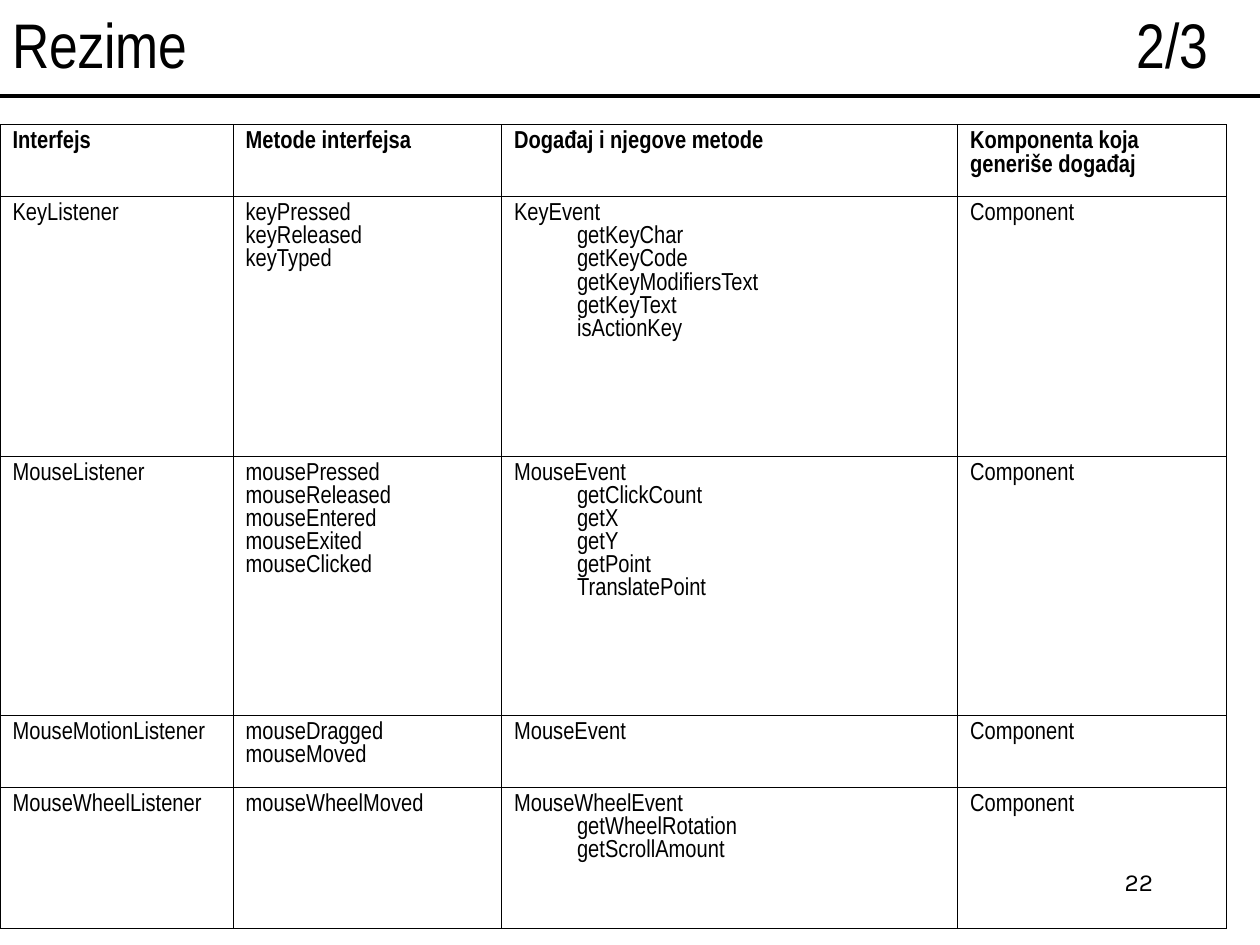
from lxml import etree
from pptx import Presentation
from pptx.dml.color import RGBColor
from pptx.enum.shapes import MSO_CONNECTOR
from pptx.enum.text import MSO_ANCHOR, PP_ALIGN
from pptx.oxml.ns import qn
from pptx.util import Inches, Pt

STRAIGHT = MSO_CONNECTOR.STRAIGHT
MIDDLE = MSO_ANCHOR.MIDDLE
RIGHT = PP_ALIGN.RIGHT
BLACK = RGBColor(0x00, 0x00, 0x00)
NARROW = "Arial Narrow"

COLUMN_WIDTHS = [1.85, 2.13, 3.62, 2.13]
ROW_HEIGHTS = [0.57, 2.06, 2.06, 0.57, 1.12]
ROWS = [
    [["Interfejs"], ["Metode interfejsa"], ["Događaj i njegove metode"],
     ["Komponenta koja generiše događaj"]],
    [["KeyListener"], ["keyPressed", "keyReleased", "keyTyped"],
     ["KeyEvent", "getKeyChar", "getKeyCode", "getKeyModifiersText", "getKeyText",
      "isActionKey"],
     ["Component"]],
    [["MouseListener"],
     ["mousePressed", "mouseReleased", "mouseEntered", "mouseExited", "mouseClicked"],
     ["MouseEvent", "getClickCount", "getX", "getY", "getPoint", "TranslatePoint"],
     ["Component"]],
    [["MouseMotionListener"], ["mouseDragged", "mouseMoved"], ["MouseEvent"], ["Component"]],
    [["MouseWheelListener"], ["mouseWheelMoved"],
     ["MouseWheelEvent", "getWheelRotation", "getScrollAmount"], ["Component"]],
]
EVENT_COLUMN = 2


def add_span(para, text, size, font, bold=False):
    span = para.add_run()
    span.text = text
    span.font.size = Pt(size)
    span.font.name = font
    span.font.bold = bold
    span.font.color.rgb = BLACK


def add_borders(cell):
    properties = cell._tc.get_or_add_tcPr()
    for side in ("a:lnL", "a:lnR", "a:lnT", "a:lnB"):
        border = etree.SubElement(properties, qn(side), w=str(Pt(0.45)))
        fill = etree.SubElement(border, qn("a:solidFill"))
        etree.SubElement(fill, qn("a:srgbClr"), val=str(BLACK))


deck = Presentation()
deck.slide_width = Inches(10)
deck.slide_height = Inches(7.5)
page = deck.slides.add_slide(deck.slide_layouts[6])

rule = page.shapes.add_connector(STRAIGHT, Inches(0), Inches(0.76), Inches(10), Inches(0.76))
rule.line.color.rgb = BLACK
rule.line.width = Pt(2)
etree.SubElement(rule._element.spPr, qn("a:effectLst"))

number_box = page.shapes.add_textbox(Inches(7.17), Inches(6.83), Inches(2.08), Inches(0.5))
number_box.text_frame.word_wrap = True
para = number_box.text_frame.paragraphs[0]
para.alignment = RIGHT
add_span(para, "22", 14, "Karla")

title_box = page.shapes.add_textbox(Inches(0), Inches(0), Inches(10), Inches(0.68))
title_box.text_frame.word_wrap = True
title_box.text_frame.vertical_anchor = MIDDLE
para = title_box.text_frame.paragraphs[0]
tabs = etree.SubElement(para._p.get_or_add_pPr(), qn("a:tabLst"))
etree.SubElement(tabs, qn("a:tab"), pos=str(Inches(9.49)), algn="r")
add_span(para, "Rezime\t2/3", 36, NARROW)

table = page.shapes.add_table(
    len(ROWS), len(COLUMN_WIDTHS), Inches(0), Inches(0.99),
    Inches(sum(COLUMN_WIDTHS)), Inches(sum(ROW_HEIGHTS))).table
table.first_row = True
table.horz_banding = False
for column, width in zip(table.columns, COLUMN_WIDTHS):
    column.width = Inches(width)
for row, height in zip(table.rows, ROW_HEIGHTS):
    row.height = Inches(height)

for row_index, row_texts in enumerate(ROWS):
    for column_index, lines in enumerate(row_texts):
        cell = table.cell(row_index, column_index)
        add_borders(cell)
        cell.fill.background()
        for line_index, line in enumerate(lines):
            frame = cell.text_frame
            para = frame.add_paragraph() if line_index else frame.paragraphs[0]
            para.line_spacing = 1.0
            if row_index:
                is_method = column_index == EVENT_COLUMN and line_index > 0
                para.level = 1 if is_method else 0
                margin, indent = (0.81, -0.31) if is_method else (0.38, -0.38)
                layout = para._p.get_or_add_pPr()
                layout.set("marL", str(Inches(margin)))
                layout.set("indent", str(Inches(indent)))
            add_span(para, line, 14, NARROW, bold=row_index == 0)

deck.save("out.pptx")
